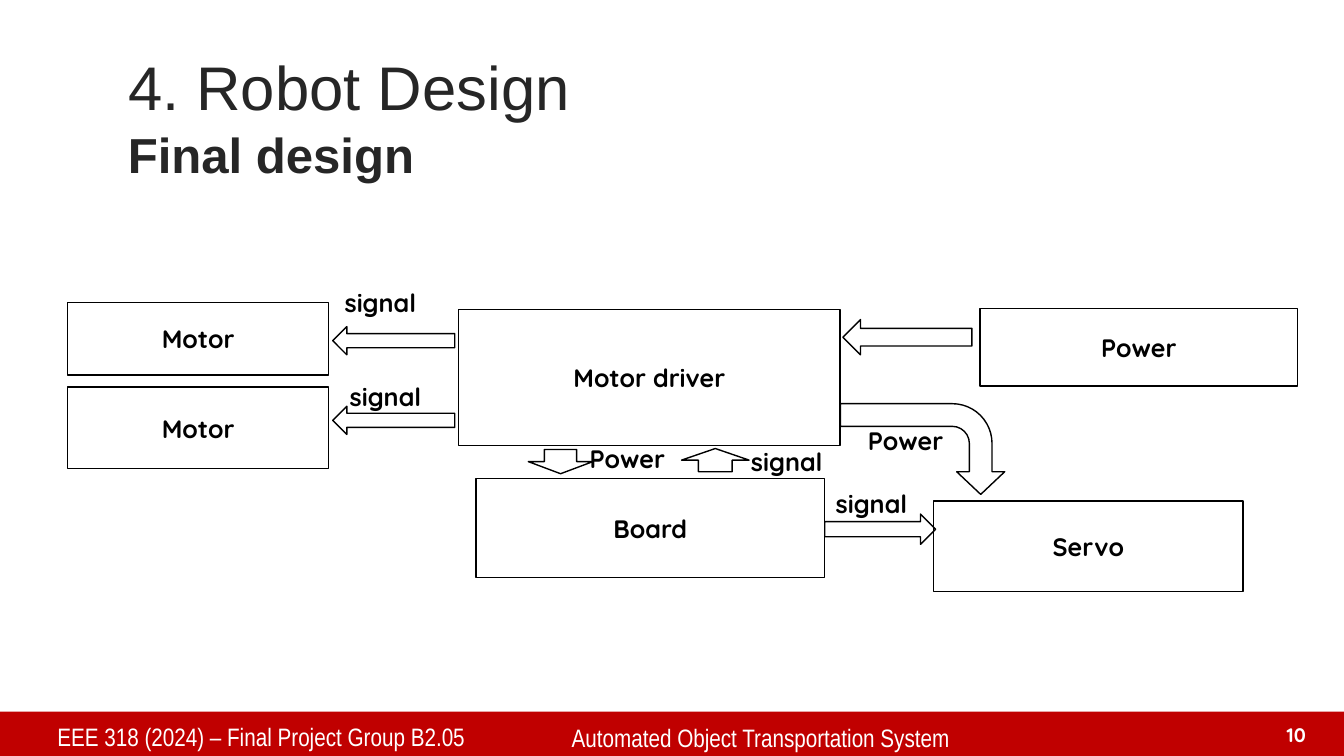
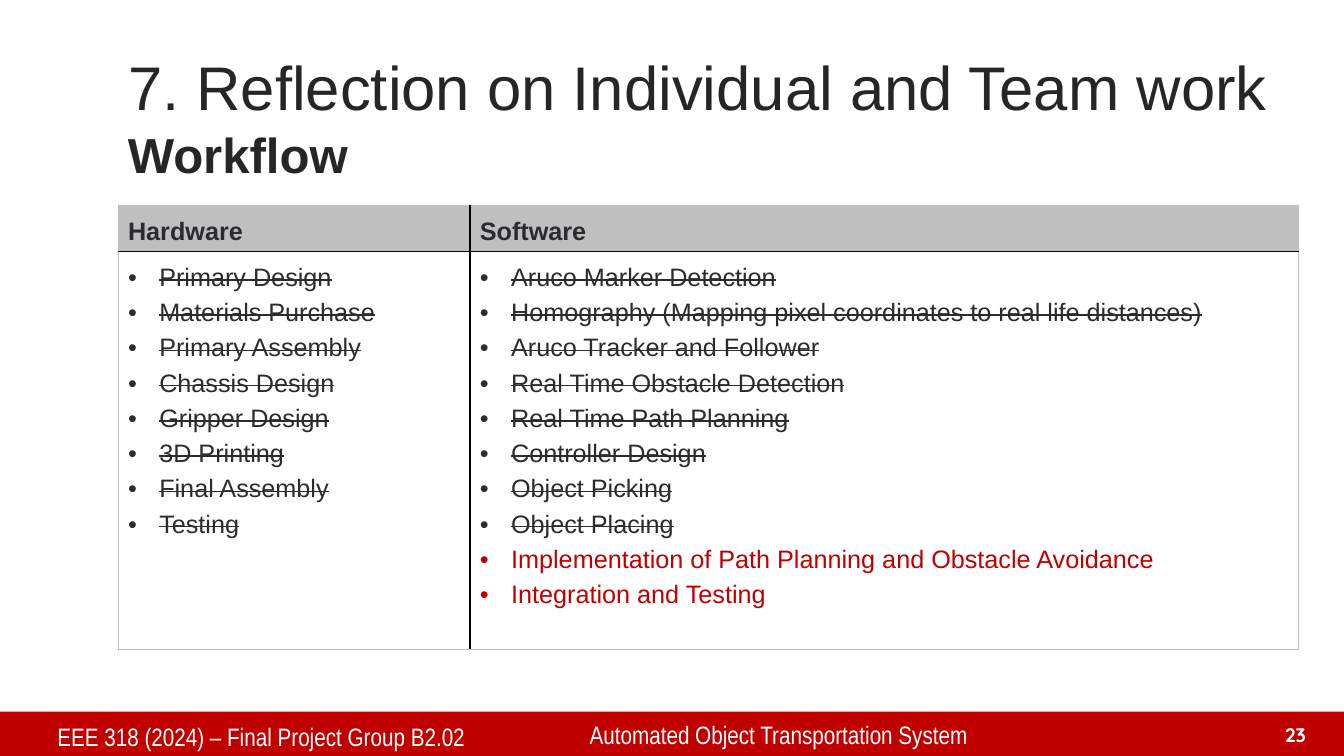
from lxml.etree import SubElement
from pptx import Presentation
from pptx.dml.color import RGBColor
from pptx.enum.shapes import MSO_SHAPE
from pptx.enum.text import MSO_ANCHOR, MSO_AUTO_SIZE, PP_ALIGN
from pptx.oxml import parse_xml
from pptx.oxml.ns import nsdecls, qn
from pptx.util import Inches, Pt

BLACK, WHITE, RED = "000000", "FFFFFF", "C00000"
TITLE_INK, TABLE_INK, GRAY = "262626", "2B2C30", "BFBFBF"


def color(value):
    return RGBColor.from_string(value)


def inches(box):
    return [Inches(value) for value in box]


def write(paragraph, text, font="Arial", size=18, ink=BLACK, bold=False,
          strike=False, align=PP_ALIGN.LEFT, spacing=None, bullet=False):
    if bullet:
        properties = paragraph._p.get_or_add_pPr()
        properties.set("marL", str(Inches(0.31)))
        properties.set("indent", str(Inches(-0.31)))
        SubElement(properties, qn("a:buFont")).set("typeface", "Arial")
        SubElement(properties, qn("a:buChar")).set("char", "•")
    paragraph.alignment = align
    if spacing:
        paragraph.line_spacing = spacing
    run = paragraph.add_run()
    run.text = text
    run.font.name = font
    run.font.size = Pt(size)
    run.font.bold = bold
    run.font.color.rgb = color(ink)
    if strike:
        run.font._element.set("strike", "sngStrike")


class Deck:
    label = {"font": "Quicksand", "bold": True}
    footer_style = {"font": "Arial Narrow", "ink": WHITE}

    def __init__(self):
        self.presentation = Presentation()
        self.presentation.slide_width = Inches(13.33)
        self.presentation.slide_height = Inches(7.5)
        self.slide = None

    def add_slide(self, title, subtitle, group, topic_box, topic_align, number):
        layout = self.presentation.slide_layouts[5]
        self.slide = self.presentation.slides.add_slide(layout)
        self.title(title)
        self.text(subtitle, (1.17, 1.16, 11, 0.8), anchor=MSO_ANCHOR.MIDDLE,
                  size=35.1, ink=TITLE_INK, bold=True, spacing=0.9)
        self.shape(MSO_SHAPE.RECTANGLE, (0, 7.06, 13.33, 0.44), fill=RED)
        self.text(f"EEE 318 (2024) – Final Project Group {group}",
                  (0.47, 7.11, 5, 0.41), **self.footer_style)
        self.text("Automated Object Transportation System", topic_box,
                  align=topic_align, **self.footer_style)
        self.text(number, (12.48, 7.11, 0.57, 0.34), anchor=MSO_ANCHOR.BOTTOM,
                  size=14, ink=WHITE, align=PP_ALIGN.RIGHT, **self.label)

    def title(self, text):
        shape = self.slide.shapes.title
        shape.left, shape.top, shape.width, shape.height = inches((1.17, 0.5, 12.16, 0.8))
        shape.text_frame.auto_size = MSO_AUTO_SIZE.NONE
        shape.text_frame.vertical_anchor = MSO_ANCHOR.MIDDLE
        write(shape.text_frame.paragraphs[0], text, size=44, ink=TITLE_INK, spacing=0.9)

    def text(self, text, box, anchor=MSO_ANCHOR.TOP, **style):
        frame = self.slide.shapes.add_textbox(*inches(box)).text_frame
        frame.word_wrap = True
        frame.vertical_anchor = anchor
        write(frame.paragraphs[0], text, **style)

    def shape(self, kind, box, fill=None):
        shape = self.slide.shapes.add_shape(kind, *inches(box))
        shape.shadow.inherit = False
        if fill:
            shape.fill.solid()
            shape.fill.fore_color.rgb = color(fill)
            shape.line.fill.background()
        else:
            shape.fill.background()
            shape.line.color.rgb = color(BLACK)
            shape.line.width = Pt(1)
        return shape

    def block(self, text, box):
        frame = self.shape(MSO_SHAPE.RECTANGLE, box).text_frame
        frame.vertical_anchor = MSO_ANCHOR.MIDDLE
        write(frame.paragraphs[0], text, align=PP_ALIGN.CENTER, **self.label)

    def bent_arrow(self, box, adjustments):
        arrow = self.shape(MSO_SHAPE.BENT_ARROW, box)
        arrow.rotation = 90
        for index, value in enumerate(adjustments):
            arrow.adjustments[index] = value

    def borders(self, cell, sides):
        properties = cell._tc.get_or_add_tcPr()
        for index, (side, (ink, width)) in enumerate(sides.items()):
            properties.insert(index, parse_xml(
                f'<a:ln{side} {nsdecls("a")} w="{Pt(width)}"><a:solidFill>'
                f'<a:srgbClr val="{ink}"/></a:solidFill></a:ln{side}>'))

    def table(self, box, widths, heights, columns):
        table = self.slide.shapes.add_table(2, len(columns), *inches(box)).table
        outer, divider, rule = (GRAY, 0.75), (BLACK, 1.5), (BLACK, 0.75)
        for row, height in zip(table.rows, heights):
            row.height = Inches(height)
        for index, (heading, done, pending) in enumerate(columns):
            table.columns[index].width = Inches(widths[index])
            header, body = table.cell(0, index), table.cell(1, index)
            header.margin_bottom = Inches(0.03)
            header.fill.solid()
            header.fill.fore_color.rgb = color(GRAY)
            body.fill.background()
            sides = {"L": divider if index else outer,
                     "R": outer if index == len(columns) - 1 else divider}
            self.borders(header, {**sides, "T": outer, "B": rule})
            self.borders(body, {**sides, "T": rule, "B": outer})
            write(header.text_frame.paragraphs[0], heading, ink=TABLE_INK,
                  bold=True, spacing=1.25)
            frame = body.text_frame
            for position, task in enumerate(done + pending):
                paragraph = frame.add_paragraph() if position else frame.paragraphs[0]
                finished = position < len(done)
                write(paragraph, task, ink=TABLE_INK if finished else RED,
                      strike=finished, spacing=1.25, bullet=True)


def robot_design(deck):
    deck.add_slide("4. Robot Design", "Final design", "B2.05",
                   (4.81, 7.12, 5.47, 0.41), PP_ALIGN.CENTER, "10")
    for name, box in (
        ("Board", (4.72, 4.75, 3.46, 0.98)),
        ("Motor driver", (4.55, 3.07, 3.78, 1.35)),
        ("Motor", (0.67, 3, 2.59, 0.72)),
        ("Motor", (0.67, 3.84, 2.59, 0.81)),
        ("Servo", (9.26, 4.97, 3.07, 0.9)),
        ("Power", (9.72, 3.06, 3.15, 0.77)),
    ):
        deck.block(name, box)
    for kind, box in (
        (MSO_SHAPE.UP_ARROW, (6.76, 4.45, 0.67, 0.23)),
        (MSO_SHAPE.DOWN_ARROW, (5.24, 4.46, 0.64, 0.24)),
        (MSO_SHAPE.LEFT_ARROW, (3.3, 3.24, 1.21, 0.28)),
        (MSO_SHAPE.LEFT_ARROW, (3.3, 4.03, 1.21, 0.28)),
        (MSO_SHAPE.LEFT_ARROW, (8.36, 3.17, 1.28, 0.35)),
        (MSO_SHAPE.RIGHT_ARROW, (8.18, 5.1, 1.1, 0.3)),
    ):
        deck.shape(kind, box)
    deck.bent_arrow((8.7, 3.64, 0.9, 1.63), (0.25, 0.265, 0.25, 0.438))
    for text, left, top in (
        ("signal", 7.35, 4.38),
        ("signal", 3.37, 3.73),
        ("signal", 3.32, 2.8),
        ("signal", 8.19, 4.8),
        ("Power", 8.51, 4.17),
        ("Power", 5.75, 4.35),
    ):
        deck.text(text, (left, top, 1.35, 0.4), **deck.label)


def workflow(deck):
    deck.add_slide("7. Reflection on Individual and Team work", "Workflow", "B2.02",
                   (5.75, 7.09, 6.73, 0.41), PP_ALIGN.LEFT, "23")
    hardware = ["Primary Design", "Materials Purchase", "Primary Assembly",
                "Chassis Design", "Gripper Design", "3D Printing",
                "Final Assembly", "Testing"]
    software = ["Aruco Marker Detection",
                "Homography (Mapping pixel coordinates to real life distances)",
                "Aruco Tracker and Follower", "Real Time Obstacle Detection",
                "Real Time Path Planning", "Controller Design",
                "Object Picking", "Object Placing"]
    pending = ["Implementation of Path Planning and Obstacle Avoidance",
               "Integration and Testing"]
    deck.table((1.17, 2.04, 11.71, 4.39), (3.49, 8.22), (0.44, 3.95),
               (("Hardware", hardware, []), ("Software", software, pending)))


def main():
    deck = Deck()
    robot_design(deck)
    workflow(deck)
    deck.presentation.save("out.pptx")


if __name__ == "__main__":
    main()
